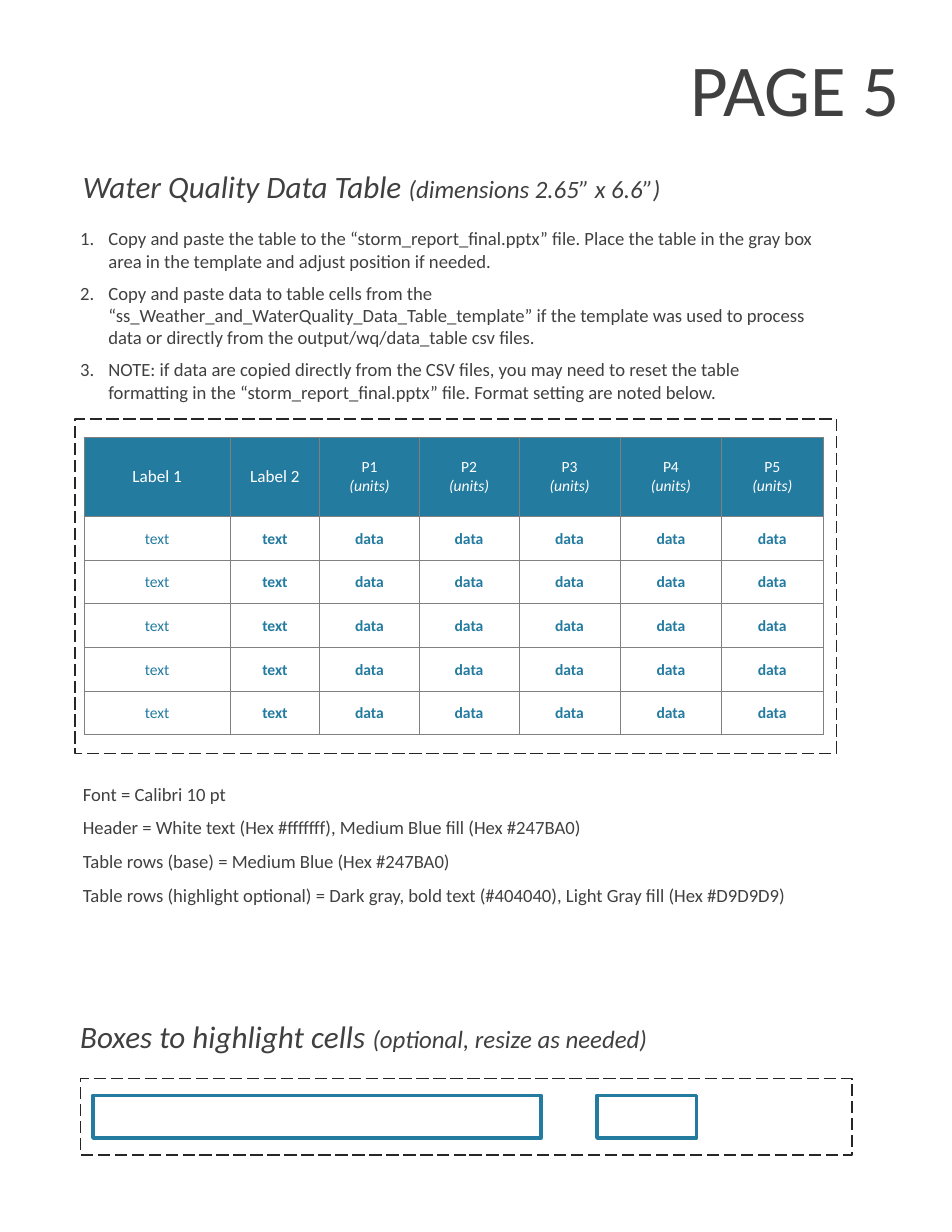
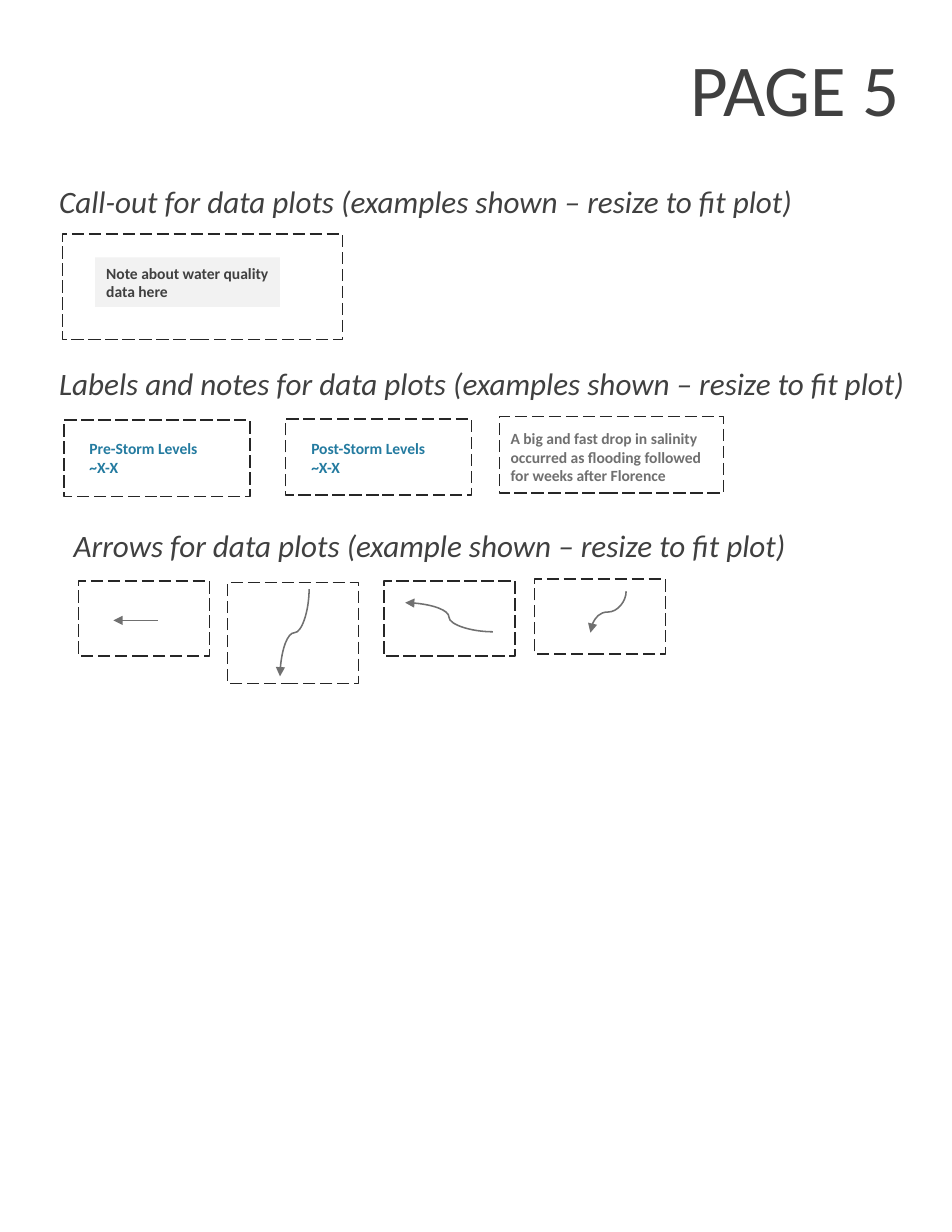
from dataclasses import dataclass

from pptx import Presentation
from pptx.dml.color import RGBColor
from pptx.enum.dml import MSO_LINE
from pptx.enum.shapes import MSO_CONNECTOR as Link, MSO_SHAPE as Preset
from pptx.enum.text import MSO_ANCHOR as Anchor, MSO_AUTO_SIZE as AutoSize, PP_ALIGN as Align
from pptx.oxml.ns import qn
from pptx.util import Cm, Pt
from lxml.etree import SubElement


@dataclass(frozen=True)
class Theme:
    font: str = "Calibri"
    ink: str = "404040"
    blue: str = "247BA0"
    white: str = "FFFFFF"
    frame: str = "262626"
    gray: str = "707070"
    grid: str = "808080"
    pale: str = "F2F2F2"
    title: float = 46.9
    heading: int = 20
    aside: int = 16
    body: int = 12
    label: int = 11
    small: int = 10


class Sheet:
    def __init__(self, deck, theme):
        self.deck = deck
        self.theme = theme
        self.page = None

    def new_page(self, title):
        self.page = self.deck.slides.add_slide(self.deck.slide_layouts[6])
        self.text(15.42, 0.86, 5.72, 2.26, title, self.theme.title)

    def span(self, para, words, size, color=None, bold=False, italic=False):
        span = para.add_run()
        span.text = words
        font = span.font
        font.name, font.size, font.bold, font.italic = self.theme.font, Pt(size), bold, italic
        font.color.rgb = RGBColor.from_string(color or self.theme.ink)

    def box(self, left, top, width, height):
        frame = self.page.shapes.add_textbox(Cm(left), Cm(top), Cm(width), Cm(height)).text_frame
        frame.word_wrap = True
        frame.auto_size = AutoSize.SHAPE_TO_FIT_TEXT
        return frame

    def text(self, left, top, width, height, words, size, **style):
        self.span(self.box(left, top, width, height).paragraphs[0], words, size, **style)

    def heading(self, left, top, width, words, aside=""):
        para = self.box(left, top, width, 1.12).paragraphs[0]
        self.span(para, words, self.theme.heading, italic=True)
        if aside:
            self.span(para, aside, self.theme.aside, italic=True)

    def paragraphs(self, left, top, width, height, lines):
        """Write one body paragraph per line and return the paragraphs."""
        frame = self.box(left, top, width, height)
        for index, line in enumerate(lines):
            para = frame.add_paragraph() if index else frame.paragraphs[0]
            self.span(para, line, self.theme.body)
        return frame.paragraphs

    def steps(self, left, top, width, height, lines):
        for para in self.paragraphs(left, top, width, height, lines):
            para.space_after = Pt(6)
            props = para._p.get_or_add_pPr()
            props.set("marL", str(Cm(0.64)))
            props.set("indent", str(-Cm(0.64)))
            SubElement(props, qn("a:buFont"), typeface="+mj-lt")
            SubElement(props, qn("a:buAutoNum"), type="arabicPeriod")

    def notes(self, left, top, width, height, lines):
        for para in self.paragraphs(left, top, width, height, lines):
            para.line_spacing = 1.5

    def rectangle(self, left, top, width, height, line=None, weight=1, fill=None):
        shape = self.page.shapes.add_shape(
            Preset.RECTANGLE, Cm(left), Cm(top), Cm(width), Cm(height))
        shape.shadow.inherit = False
        if fill:
            shape.fill.solid()
            shape.fill.fore_color.rgb = RGBColor.from_string(fill)
        else:
            shape.fill.background()
        if line:
            shape.line.color.rgb = RGBColor.from_string(line)
            shape.line.width = Pt(weight)
        else:
            shape.line.fill.background()
        return shape

    def dashed(self, left, top, width, height):
        frame = self.rectangle(left, top, width, height, self.theme.frame)
        frame.line.dash_style = MSO_LINE.LONG_DASH

    def callout(self, left, top, width, height, words):
        frame = self.rectangle(left, top, width, height, fill=self.theme.pale).text_frame
        frame.word_wrap = True
        para = frame.paragraphs[0]
        para.alignment = Align.LEFT
        self.span(para, words, self.theme.small, bold=True)

    def arrow(self, start, end, kind=Link.CURVE, upright=False):
        """Draw an arrow; an upright curve leaves and arrives vertically."""
        (x1, y1), (x2, y2) = start, end
        if upright:  # lay the curve flat about its centre, then turn it a quarter
            middle_x, middle_y = (x1 + x2) / 2, (y1 + y2) / 2
            half_x, half_y = (y2 - y1) / 2, (x1 - x2) / 2
            x1, x2 = middle_x - half_x, middle_x + half_x
            y1, y2 = middle_y - half_y, middle_y + half_y
        link = self.page.shapes.add_connector(kind, Cm(x1), Cm(y1), Cm(x2), Cm(y2))
        link.line.color.rgb = RGBColor.from_string(self.theme.gray)
        link.line.width = Pt(1)
        SubElement(link.line._get_or_add_ln(), qn("a:tailEnd"), type="triangle")
        props = link._element.spPr
        SubElement(props, qn("a:effectLst"))
        if upright:
            props.find(qn("a:xfrm")).set("rot", "5400000")

    def cell(self, cell, lines, fill, margins):
        """Fill a cell with centred lines, each a (words, style) pair."""
        props = cell._tc.get_or_add_tcPr()
        for side in "LRTB":
            edge = SubElement(props, qn(f"a:ln{side}"), w=str(Pt(0.5)))
            SubElement(SubElement(edge, qn("a:solidFill")), qn("a:srgbClr"), val=self.theme.grid)
        cell.fill.solid()
        cell.fill.fore_color.rgb = RGBColor.from_string(fill)
        cell.vertical_anchor = Anchor.MIDDLE
        (cell.margin_left, cell.margin_top,
         cell.margin_right, cell.margin_bottom) = map(Cm, margins)
        for index, (words, style) in enumerate(lines):
            para = cell.text_frame.add_paragraph() if index else cell.text_frame.paragraphs[0]
            para.alignment = Align.CENTER
            self.span(para, words, **style)

    def data_table(self, left, top, widths, heights, labels, parameters):
        theme = self.theme
        table = self.page.shapes.add_table(
            len(heights), len(widths), Cm(left), Cm(top),
            Cm(sum(widths)), Cm(sum(heights))).table
        for column, width in zip(table.columns, widths):
            column.width = Cm(width)
        for row, height in zip(table.rows, heights):
            row.height = Cm(height)

        small = {"size": theme.small, "color": theme.white}
        header = [[(name, {**small, "size": theme.label})] for name in labels]
        header += [[(name, small), ("(units)", {**small, "italic": True})]
                   for name in parameters]
        for column, lines in enumerate(header):
            self.cell(table.cell(0, column), lines, theme.blue, (0.38, 0.18, 0.38, 0.18))
            for row in range(1, len(heights)):
                words = "text" if column < len(labels) else "data"
                style = {"size": theme.small, "color": theme.blue, "bold": column > 0}
                self.cell(table.cell(row, column), [(words, style)],
                          theme.white, (0.03, 0.03, 0.03, 0))


def table_page(sheet):
    theme = sheet.theme
    sheet.new_page("PAGE 5")
    sheet.heading(1.63, 3.68, 15.7, "Water Quality Data Table ", "(dimensions 2.65” x 6.6”)")
    sheet.steps(1.57, 5.03, 17.35, 4.27, [
        "Copy and paste the table to the “storm_report_final.pptx” file. Place the table "
        "in the gray box area in the template and adjust position if needed.",
        "Copy and paste data to table cells from the "
        "“ss_Weather_and_WaterQuality_Data_Table_template” if the template was used to "
        "process data or directly from the output/wq/data_table csv files.",
        "NOTE: if data are copied directly from the CSV files, you may need to reset the "
        "table formatting in the “storm_report_final.pptx” file. Format setting are noted below.",
    ])
    sheet.data_table(1.91, 9.91, [3.31, 2.03, 2.26, 2.26, 2.3, 2.3, 2.3], [1.8] + [0.99] * 5,
                     ["Label 1", "Label 2"], ["P1", "P2", "P3", "P4", "P5"])
    sheet.dashed(1.7, 9.5, 17.27, 7.59)
    sheet.notes(1.63, 17.37, 17.35, 4.11, [
        "Font = Calibri 10 pt",
        "Header = White text (Hex #fffffff), Medium Blue fill (Hex #247BA0)",
        "Table rows (base) = Medium Blue (Hex #247BA0)",
        "Table rows (highlight optional) = Dark gray, bold text (#404040), "
        "Light Gray fill (Hex #D9D9D9)",
    ])
    sheet.heading(1.57, 22.94, 13.67, "Boxes to highlight cells ", "(optional, resize as needed)")
    sheet.dashed(1.83, 24.46, 17.5, 1.73)
    for left, width in ((2.11, 10.16), (13.54, 2.26)):
        sheet.rectangle(left, 24.84, width, 0.97, theme.blue, 2.25)


def plot_page(sheet):
    theme = sheet.theme
    sheet.new_page("PAGE 5")
    sheet.heading(1.09, 4.01, 20.5, "Call-out for data plots (examples shown – resize to fit plot)")
    sheet.dashed(1.42, 5.31, 6.35, 2.39)
    sheet.callout(2.16, 5.84, 4.19, 1.12, "Note about water quality data here")

    sheet.heading(1.09, 8.15, 20.5,
                  "Labels and notes for data plots (examples shown – resize to fit plot)")
    for left, top, moment in ((1.45, 9.53, "Pre"), (6.48, 9.5, "Post")):
        sheet.dashed(left, top, 4.22, 1.73)
        sheet.text(left + 0.33, 9.83, 3.28, 1.12, f"{moment}-Storm Levels ~X-X",
                   theme.small, color=theme.blue, bold=True)
    sheet.dashed(11.33, 9.45, 5.08, 1.73)
    sheet.text(11.33, 9.6, 4.85, 1.55,
               "A big and fast drop in salinity occurred as flooding followed "
               "for weeks after Florence", theme.small, color=theme.gray, bold=True)

    sheet.heading(1.42, 11.81, 20.5, "Arrows for data plots (example shown – resize to fit plot)")
    for left, top, height in ((1.78, 13.18, 1.7), (5.16, 13.21, 2.29),
                              (8.71, 13.18, 1.7), (12.12, 13.13, 1.7)):
        sheet.dashed(left, top, 2.97, height)
    sheet.arrow((3.58, 14.07), (2.57, 14.07), Link.STRAIGHT)
    sheet.arrow((7.01, 13.36), (6.35, 15.34), upright=True)
    sheet.arrow((11.18, 14.33), (9.19, 13.67))
    sheet.arrow((14.2, 13.41), (13.39, 14.35), upright=True)


def main():
    deck = Presentation()
    deck.slide_width, deck.slide_height = Cm(21.59), Cm(27.94)
    sheet = Sheet(deck, Theme())
    table_page(sheet)
    plot_page(sheet)
    deck.save("out.pptx")


if __name__ == "__main__":
    main()
